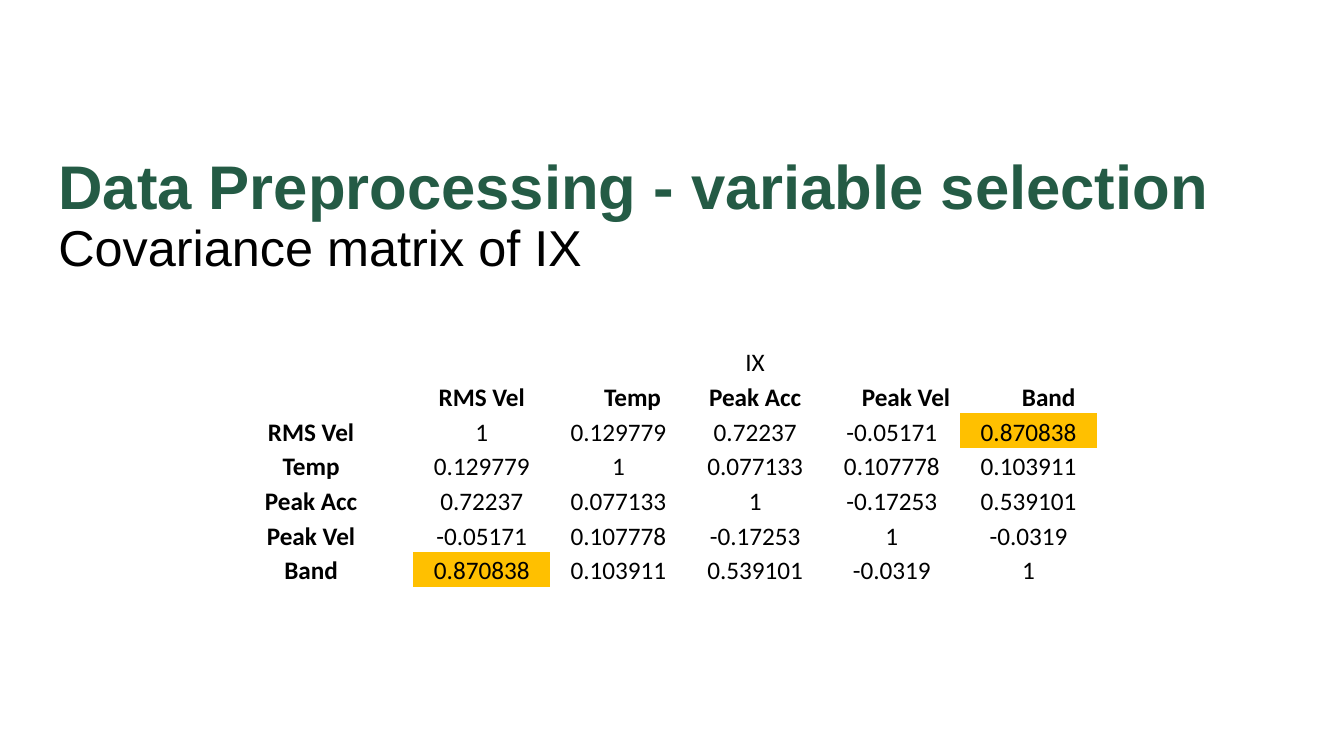
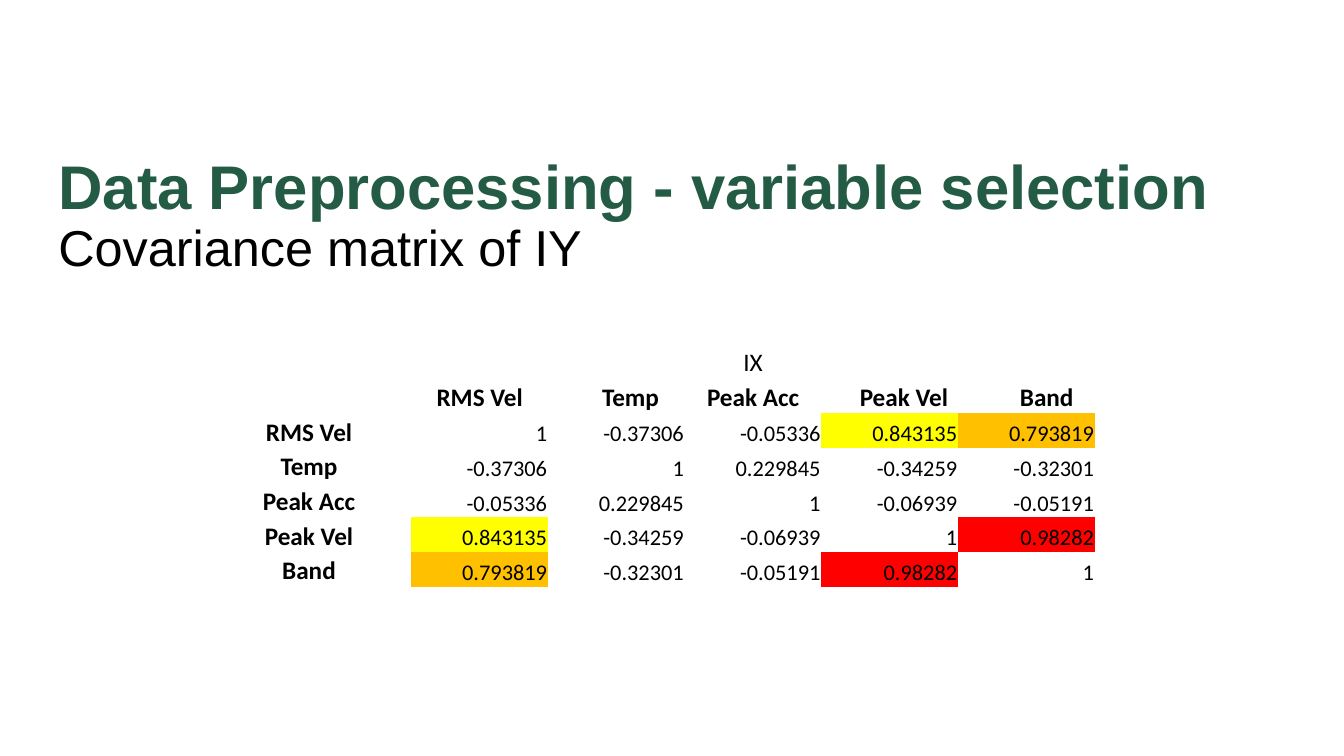
from dataclasses import dataclass
from lxml import etree
from pptx import Presentation
from pptx.dml.color import RGBColor
from pptx.enum.text import MSO_ANCHOR, PP_ALIGN
from pptx.oxml.ns import qn
from pptx.util import Inches, Pt

MIDDLE, BOTTOM = MSO_ANCHOR.MIDDLE, MSO_ANCHOR.BOTTOM
CENTER, RIGHT = PP_ALIGN.CENTER, PP_ALIGN.RIGHT

COLORS = {
    "green": "245B45",
    "black": "000000",
    "orange": "FFC000",
    "yellow": "FFFF00",
    "red": "FF0000",
}
SLIDE_W, SLIDE_H = 13.33, 7.5
TITLE_BOX = (0.48, 1.43, 12.4, 1.45)
TITLE = "Data Preprocessing - variable selection"
TITLE_FONT = {"name": "Arial", "size": Pt(44), "bold": True}
SUBTITLE_FONT = {"name": "Arial", "size": Pt(36), "bold": False}

VARIABLES = ["RMS Vel", "Temp", "Peak Acc", "Peak Vel", "Band"]
HEADER_INDENTS = [0, 0.28, 0, 0.28, 0.4]
COUNT = len(VARIABLES)
HEADER_ROWS = 2
ROWS = COUNT + HEADER_ROWS
TABLE_TOP, TABLE_W, TABLE_H = 3.41, 8.81, 2.41
LABEL_W = 2.03
VALUE_W = (TABLE_W - LABEL_W) / COUNT
ROW_H = TABLE_H / ROWS
CELL_FORMAT = {
    "margin_left": Inches(0.01),
    "margin_right": Inches(0.01),
    "margin_top": Inches(0.01),
    "margin_bottom": 0,
    "vertical_anchor": BOTTOM,
}
PLAIN_STYLE = "{2D5ABB26-0587-4C30-8999-92F81FD0307C}"


@dataclass(frozen=True)
class Matrix:
    subtitle: str
    heading: str
    left: float
    upper: list[list[str]]
    marks: dict[tuple[int, int], str]
    align: PP_ALIGN
    size: int


MATRICES = [
    Matrix(
        "Covariance matrix of IX", "IX", 2.07,
        [
            ["1", "0.129779", "0.72237", "-0.05171", "0.870838"],
            ["1", "0.077133", "0.107778", "0.103911"],
            ["1", "-0.17253", "0.539101"],
            ["1", "-0.0319"],
            ["1"],
        ],
        {(0, 4): "orange"}, CENTER, 18,
    ),
    Matrix(
        "Covariance matrix of IY", "IX", 2.05,
        [
            ["1", "-0.37306", "-0.05336", "0.843135", "0.793819"],
            ["1", "0.229845", "-0.34259", "-0.32301"],
            ["1", "-0.06939", "-0.05191"],
            ["1", "0.98282"],
            ["1"],
        ],
        {(0, 3): "yellow", (0, 4): "orange", (3, 4): "red"}, RIGHT, 16,
    ),
]


def apply(target, values: dict) -> None:
    for name, value in values.items():
        setattr(target, name, value)


def rgb(name: str) -> RGBColor:
    return RGBColor.from_string(COLORS[name])


def add_run(p, text: str, font: dict, color: str = "black") -> None:
    r = p.add_run()
    r.text = text
    apply(r.font, font)
    r.font.color.rgb = rgb(color)


def add_title(s, subtitle: str) -> None:
    sp = s.shapes.add_textbox(*map(Inches, TITLE_BOX))
    tf = sp.text_frame
    apply(tf, {"word_wrap": True, "vertical_anchor": MIDDLE})
    p = tf.paragraphs[0]
    p.line_spacing = 0.9
    add_run(p, TITLE, TITLE_FONT, "green")
    p.add_line_break()
    add_run(p, subtitle, SUBTITLE_FONT)


def write_cell(cell, text: str, bold: bool = False, size: int = 18,
               align: PP_ALIGN = CENTER) -> None:
    p = cell.text_frame.paragraphs[0]
    p.alignment = align
    add_run(p, text, {"name": "Calibri", "size": Pt(size), "bold": bold})


def add_plain_table(s, left: float):
    box = map(Inches, (left, TABLE_TOP, TABLE_W, TABLE_H))
    table = s.shapes.add_table(ROWS, COUNT + 1, *box).table
    apply(table, {"first_row": False, "horz_banding": False})
    props = table._tbl.tblPr
    style = props.find(qn("a:tableStyleId"))
    if style is None:
        style = etree.SubElement(props, qn("a:tableStyleId"))
    style.text = PLAIN_STYLE
    for i, column in enumerate(table.columns):
        column.width = Inches(VALUE_W if i else LABEL_W)
    for row in table.rows:
        row.height = Inches(ROW_H)
        for cell in row.cells:
            apply(cell, CELL_FORMAT)
            cell.fill.background()
    return table


def add_matrix(s, matrix: Matrix) -> None:
    table = add_plain_table(s, matrix.left)
    table.cell(0, 1).merge(table.cell(0, COUNT))
    write_cell(table.cell(0, 1), matrix.heading)
    for i, (name, indent) in enumerate(zip(VARIABLES, HEADER_INDENTS)):
        header = table.cell(1, i + 1)
        header.margin_left += Inches(indent)
        write_cell(header, name, bold=True)
        write_cell(table.cell(i + HEADER_ROWS, 0), name, bold=True)
        for j in range(COUNT):
            low, high = sorted((i, j))
            cell = table.cell(i + HEADER_ROWS, j + 1)
            write_cell(cell, matrix.upper[low][high - low],
                       size=matrix.size, align=matrix.align)
            if (low, high) in matrix.marks:
                cell.fill.solid()
                cell.fill.fore_color.rgb = rgb(matrix.marks[low, high])


def main() -> None:
    prs = Presentation()
    apply(prs, {"slide_width": Inches(SLIDE_W), "slide_height": Inches(SLIDE_H)})
    for matrix in MATRICES:
        s = prs.slides.add_slide(prs.slide_layouts[6])
        add_title(s, matrix.subtitle)
        add_matrix(s, matrix)
    prs.save("out.pptx")


if __name__ == "__main__":
    main()
